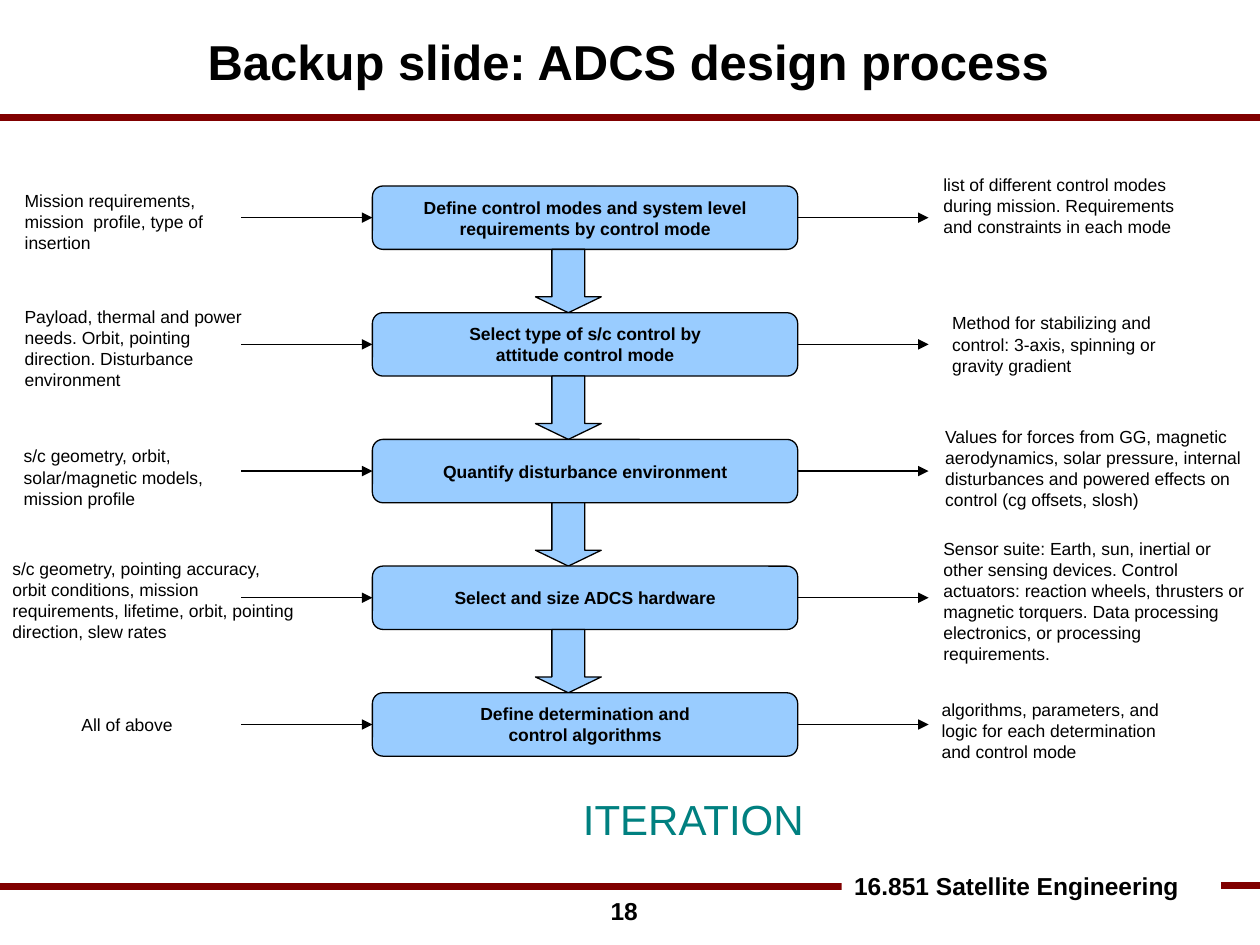
from lxml.etree import SubElement
from pptx import Presentation
from pptx.dml.color import RGBColor
from pptx.enum.shapes import MSO_CONNECTOR, MSO_SHAPE
from pptx.enum.text import MSO_ANCHOR, MSO_AUTO_SIZE, PP_ALIGN
from pptx.oxml.ns import qn
from pptx.util import Pt

BLACK = RGBColor(0x00, 0x00, 0x00)
WHITE = RGBColor(0xFF, 0xFF, 0xFF)
MAROON = RGBColor(0x80, 0x00, 0x00)
SKY = RGBColor(0x99, 0xCC, 0xFF)
TEAL = RGBColor(0x00, 0x80, 0x80)

TITLE = "Backup slide: ADCS design process"
COURSE = "16.851 Satellite Engineering"
PAGE_NUMBER = "18"
LOOP_NOTE = "ITERATION"

STEPS = [
    "Define control modes and system level\nrequirements by control mode",
    "Select type of s/c control by\nattitude control mode",
    "Quantify disturbance environment",
    "Select and size ADCS hardware",
    "Define determination and\ncontrol algorithms",
]
INPUTS = [
    ("Mission requirements, mission  profile, type of insertion", (7, 105, 131, 55)),
    ("Payload, thermal and power needs. Orbit, pointing direction. "
     "Disturbance environment", (7, 171.5, 150, 61)),
    ("s/c geometry, orbit, solar/magnetic models, mission profile", (6.5, 251, 150, 43)),
    ("s/c geometry, pointing accuracy, orbit conditions, mission requirements, "
     "lifetime, orbit, pointing direction, slew rates", (0, 315.5, 176, 55)),
    ("All of above", (39.5, 404.5, 94, 19.5)),
]
OUTPUTS = [
    ("list of different control modes during mission. Requirements and "
     "constraints in each mode", (532, 95.8, 150, 55)),
    ("Method for stabilizing and control: 3-axis, spinning or gravity gradient",
     (537, 175, 150, 46)),
    ("Values for forces from GG, magnetic aerodynamics, solar pressure, internal "
     "disturbances and powered effects on control (cg offsets, slosh)",
     (533, 240, 187, 55)),
    ("Sensor suite: Earth, sun, inertial or other sensing devices. Control "
     "actuators: reaction wheels, thrusters or magnetic torquers. Data processing "
     "electronics, or processing requirements.", (532, 304, 186, 79)),
    ("algorithms, parameters, and logic for each determination and control mode",
     (531, 396, 150, 55)),
]
RULES = [(0, 720, 67.3), (697.7, 720, 505.8), (0, 516, 506.3)]

STEP_LEFT, STEP_TOP, STEP_WIDTH, STEP_HEIGHT = 212.8, 106.3, 243, 36.2
PITCH = 2 * STEP_HEIGHT
FLOW_LENGTH = 74.8
DOWN_WIDTH = 37.6
DOWN_LEFT = 306


def points(*lengths):
    return [Pt(length) for length in lengths]


def write(shape, text, size=10, bold=False, color=BLACK, align=PP_ALIGN.LEFT,
          anchor=MSO_ANCHOR.TOP, wrap=True, spacing=None):
    frame = shape.text_frame
    frame.text = text
    frame_format = {"auto_size": MSO_AUTO_SIZE.NONE, "word_wrap": wrap,
                    "vertical_anchor": anchor}
    for name, value in frame_format.items():
        setattr(frame, name, value)
    font_format = {"name": "Arial", "size": Pt(size), "bold": bold}
    for paragraph in frame.paragraphs:
        paragraph.alignment = align
        paragraph.line_spacing = spacing
        for run in paragraph.runs:
            for name, value in font_format.items():
                setattr(run.font, name, value)
            run.font.color.rgb = color


def add_text(slide, text, place, **text_format):
    box = slide.shapes.add_textbox(*points(*place))
    write(box, text, **text_format)
    return box


def add_block(slide, preset, place):
    block = slide.shapes.add_shape(preset, *points(*place))
    block.shadow.inherit = False
    block.fill.solid()
    block.fill.fore_color.rgb = SKY
    block.line.color.rgb = BLACK
    block.line.width = Pt(0.75)
    return block


def add_line(slide, start, end, y, color=BLACK, width=0.75, arrow=False):
    line = slide.shapes.add_connector(MSO_CONNECTOR.STRAIGHT, *points(start, y, end, y))
    line.line.color.rgb = color
    line.line.width = Pt(width)
    if arrow:
        SubElement(line.line._get_or_add_ln(), qn("a:tailEnd"), type="triangle")
    SubElement(line._element.spPr, qn("a:effectLst"))
    return line


def add_frame(slide):
    for start, end, y in RULES:
        add_line(slide, start, end, y, MAROON, 4)
    course = add_text(slide, COURSE, (481, 494, 200, 24.5), size=14, bold=True, wrap=False)
    course.fill.solid()
    course.fill.fore_color.rgb = WHITE

    title = slide.shapes.title
    place = dict(zip(("left", "top", "width", "height"), points(80, 3.6, 558, 67)))
    for name, value in place.items():
        setattr(title, name, value)
    write(title, TITLE, size=28, bold=True, align=PP_ALIGN.CENTER,
          anchor=MSO_ANCHOR.MIDDLE, spacing=Pt(28.9))
    add_text(slide, PAGE_NUMBER, (275.8, 510, 95.8, 30), size=14, bold=True,
             align=PP_ALIGN.RIGHT, spacing=0.93)


def add_process(slide):
    step_right = STEP_LEFT + STEP_WIDTH
    for row, step_text in enumerate(STEPS):
        top = STEP_TOP + row * PITCH
        middle = top + STEP_HEIGHT / 2
        step = add_block(slide, MSO_SHAPE.ROUNDED_RECTANGLE,
                         (STEP_LEFT, top, STEP_WIDTH, STEP_HEIGHT))
        write(step, step_text, bold=True, align=PP_ALIGN.CENTER,
              anchor=MSO_ANCHOR.MIDDLE, wrap=False)
        inflow = add_line(slide, STEP_LEFT - FLOW_LENGTH, STEP_LEFT, middle, arrow=True)
        inflow.end_connect(step, 1)
        outflow = add_line(slide, step_right, step_right + FLOW_LENGTH, middle, arrow=True)
        outflow.begin_connect(step, 3)
        if row < len(STEPS) - 1:
            down = add_block(slide, MSO_SHAPE.DOWN_ARROW,
                             (DOWN_LEFT, top + STEP_HEIGHT, DOWN_WIDTH, PITCH - STEP_HEIGHT))
            down.adjustments[0] = 0.5
            down.adjustments[1] = 0.25

    for text, place in INPUTS + OUTPUTS:
        add_text(slide, text, place)
    add_text(slide, LOOP_NOTE, (326, 450, 142, 36), size=24, color=TEAL, wrap=False)


def main():
    deck = Presentation()
    deck.slide_width, deck.slide_height = points(720, 540)
    slide = deck.slides.add_slide(deck.slide_layouts[5])
    add_frame(slide)
    add_process(slide)
    deck.save("out.pptx")


if __name__ == "__main__":
    main()
